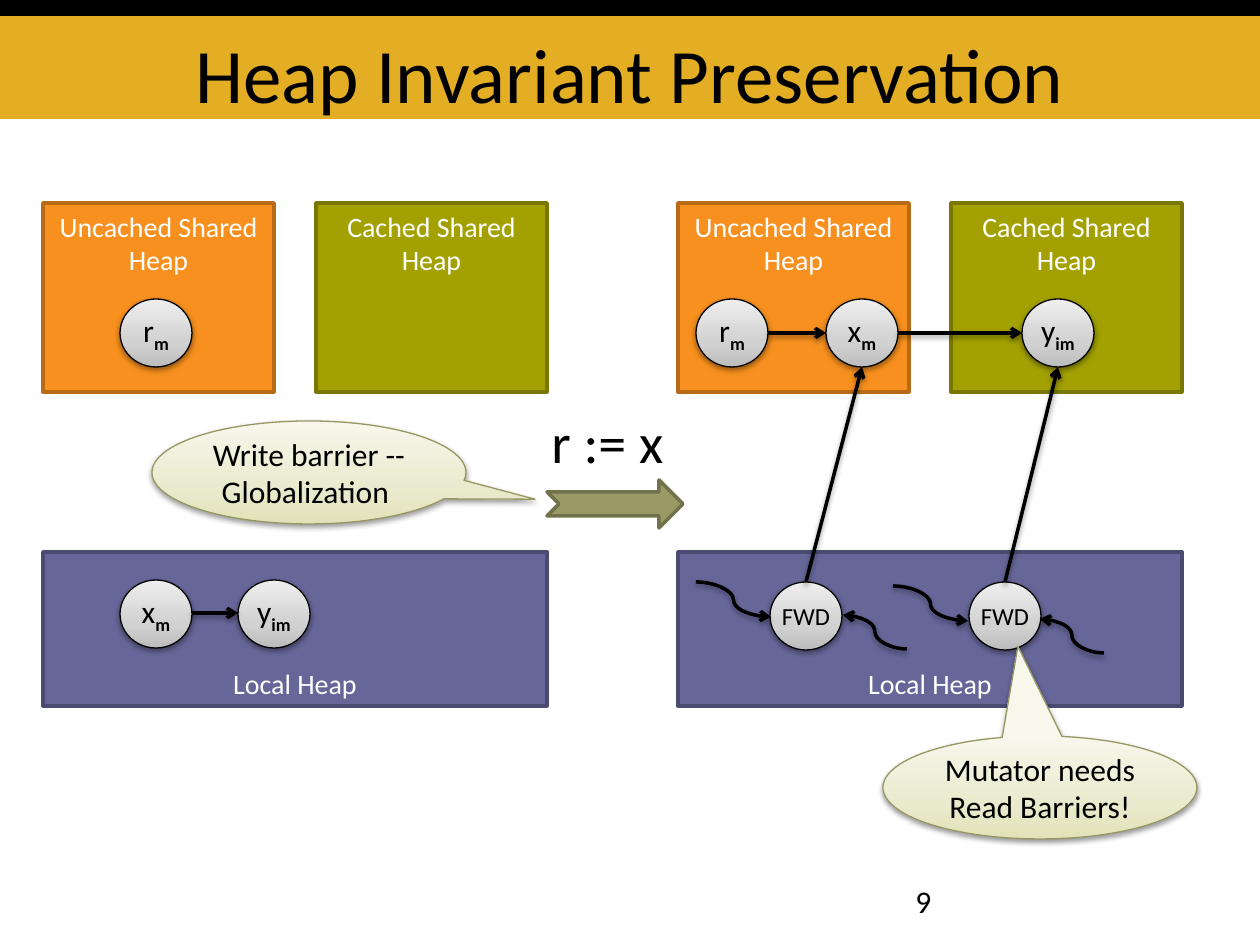
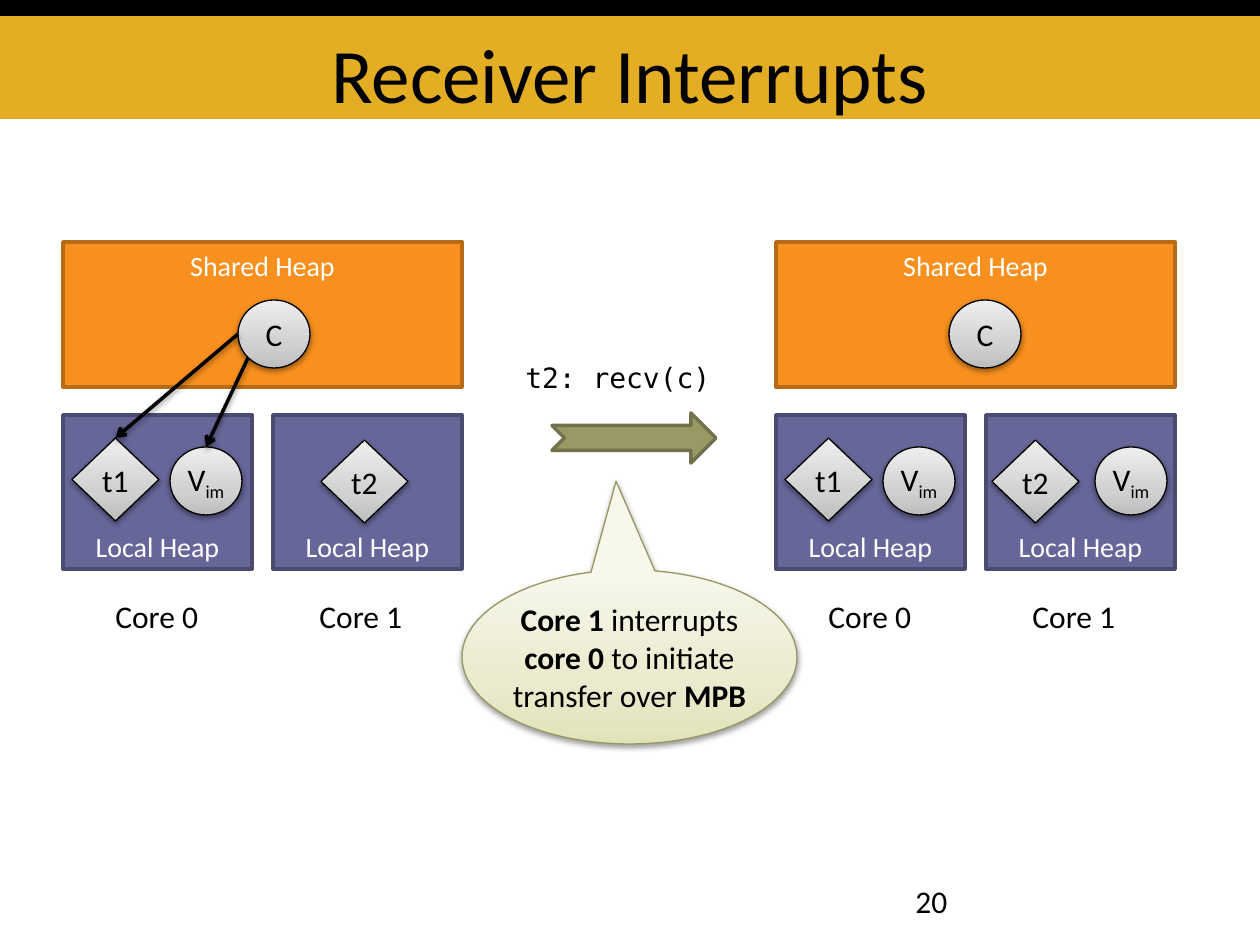
from pptx import Presentation
from pptx.dml.color import RGBColor
from pptx.enum.shapes import MSO_CONNECTOR, MSO_SHAPE
from pptx.enum.text import MSO_ANCHOR, PP_ALIGN
from pptx.oxml import parse_xml
from pptx.oxml.ns import nsdecls, qn
from pptx.util import Emu, Pt

PX = 914400 / 126  # 126 px to the inch
ORANGE = ("F7901E", "B76B16")
OLIVE = ("A3A101", "797701")
PURPLE = ("666699", "4B4B71")
MOSS = ("999966", "71714B")
GREY_STOPS = ("BDBDBD", "D1D1D1", "EEEEEE")
CREAM_STOPS = ("E2E2B9", "EAEACE", "F7F7EC")
NODE_W, NODE_H = 72, 68


def px(*values):
    return [Emu(round(v * PX)) for v in values]


def rgb(value):
    return RGBColor.from_string(value)


class Deck:
    font, mono = "Calibri", "DejaVu Sans Mono"
    ink, white, gold = "000000", "FFFFFF", "E3AE24"

    def __init__(self):
        self.prs = Presentation()
        self.prs.slide_width, self.prs.slide_height = px(1260, 945)
        self.s = None

    def slide(self, title, number):
        self.s = self.prs.slides.add_slide(self.prs.slide_layouts[6])
        self.shape(MSO_SHAPE.RECTANGLE, (0, 16, 1260, 103), self.gold)
        self.shape(MSO_SHAPE.RECTANGLE, (0, 0, 1260, 16), self.ink)
        sp = self.text((63, 16, 1134, 103), title, 44, align=PP_ALIGN.CENTER)
        sp.text_frame.vertical_anchor = MSO_ANCHOR.BOTTOM
        sp.text_frame.margin_bottom = 0
        self.text((903, 876, 294, 50), number, 18)

    def set_text(self, sp, content, size, color=None, align=PP_ALIGN.CENTER,
                 anchor=MSO_ANCHOR.TOP, inset=True, wrap=True, font=None):
        """Content is a string, or a list of (text, bold, subscript) runs."""
        tf = sp.text_frame
        tf.word_wrap = wrap
        tf.vertical_anchor = anchor
        if not inset:
            tf.margin_left = tf.margin_top = tf.margin_right = tf.margin_bottom = 0
        p = tf.paragraphs[0]
        p.alignment = align
        p.font.name, p.font.size = font or self.font, Pt(size)
        p.font.color.rgb = rgb(color or self.ink)
        runs = [(content, False, False)] if isinstance(content, str) else content
        for text, bold, sub in runs:
            r = p.add_run()
            r.text = text
            if bold:
                r.font.bold = True
            if sub:
                r._r.get_or_add_rPr().set("baseline", "-25000")

    def text(self, box, content, size, align=PP_ALIGN.LEFT, **style):
        sp = self.s.shapes.add_textbox(*px(*box))
        self.set_text(sp, content, size, align=align, **style)
        return sp

    def shape(self, kind, box, fill, line=None, width=2):
        sp = self.s.shapes.add_shape(kind, *px(*box))
        sp.shadow.inherit = False
        if isinstance(fill, str):
            sp.fill.solid()
            sp.fill.fore_color.rgb = rgb(fill)
        else:
            self.gradient(sp, fill)
        if line:
            sp.line.color.rgb = rgb(line)
            sp.line.width = Pt(width)
        else:
            sp.line.fill.background()
        return sp

    def gradient(self, sp, stops):
        gs = "".join(f'<a:gs pos="{pos}"><a:srgbClr val="{c}"/></a:gs>'
                     for pos, c in zip((0, 35000, 100000), stops))
        sp.fill.gradient()
        spPr = sp._element.spPr
        spPr.replace(spPr.find(qn("a:gradFill")), parse_xml(
            f'<a:gradFill {nsdecls("a")} rotWithShape="1"><a:gsLst>{gs}</a:gsLst>'
            '<a:lin ang="16200000" scaled="0"/></a:gradFill>'))

    def shadow(self, sp, alpha=38, dist=20000):
        spPr = sp._element.spPr
        for old in spPr.findall(qn("a:effectLst")):
            spPr.remove(old)
        spPr.append(parse_xml(
            f'<a:effectLst {nsdecls("a")}><a:outerShdw blurRad="40000" dist="{dist}" '
            'dir="5400000" rotWithShape="0"><a:srgbClr val="000000">'
            f'<a:alpha val="{alpha * 1000}"/></a:srgbClr></a:outerShdw></a:effectLst>'))

    def heap(self, box, label, colors, anchor=MSO_ANCHOR.TOP):
        sp = self.shape(MSO_SHAPE.RECTANGLE, box, *colors)
        self.set_text(sp, label, 16, self.white, anchor=anchor)

    def local_heap(self, x, y, w):
        self.heap((x, y, w, 154), "Local Heap", PURPLE, MSO_ANCHOR.BOTTOM)

    def node(self, x, y, name, sub="", bold=True, size=18,
             kind=MSO_SHAPE.OVAL, w=NODE_W, h=NODE_H):
        sp = self.shape(kind, (x, y, w, h), GREY_STOPS, self.ink, 0.75)
        self.shadow(sp)
        runs = [(name, False, False)] + ([(sub, bold, True)] if sub else [])
        self.set_text(sp, runs, size, anchor=MSO_ANCHOR.MIDDLE, inset=False)
        return sp

    def thread(self, x, y, name):
        return self.node(x, y, name, kind=MSO_SHAPE.DIAMOND, w=87, h=83)

    def callout(self, box, adj, content, inset=True):
        sp = self.shape(MSO_SHAPE.OVAL_CALLOUT, box, CREAM_STOPS, "979763", 0.75)
        sp.adjustments[0], sp.adjustments[1] = adj
        self.shadow(sp)
        self.set_text(sp, content, 18, anchor=MSO_ANCHOR.MIDDLE, inset=inset)

    def step(self, box):
        self.shape(MSO_SHAPE.NOTCHED_RIGHT_ARROW, box, *MOSS)

    def arrow(self, start, end, begin_top=None, end_top=None, curved=False):
        kind = MSO_CONNECTOR.CURVE if curved else MSO_CONNECTOR.STRAIGHT
        cn = self.s.shapes.add_connector(kind, *px(*start, *end))
        if begin_top is not None:
            cn.begin_connect(begin_top, 0)
        if end_top is not None:
            cn.end_connect(end_top, 0)
        cn.line.color.rgb = rgb(self.ink)
        cn.line.width = Pt(2)
        cn._element.spPr.find(qn("a:ln")).append(
            parse_xml(f'<a:tailEnd {nsdecls("a")} type="arrow"/>'))
        self.shadow(cn, *((35, 23000) if curved else (38, 20000)))


def heap_invariant(d):
    d.slide("Heap Invariant Preservation", "9")

    # Heaps before and after
    for x in (43, 678):
        d.heap((x, 203, 231, 189), "Uncached Shared Heap", ORANGE)
        d.heap((x + 273, 203, 231, 189), "Cached Shared Heap", OLIVE)
        d.local_heap(x, 552, 504)

    # Objects before the write
    d.node(120, 299, "r", "m")
    d.node(120, 580, "x", "m")
    d.node(238, 580, "y", "im")
    d.arrow((192, 613), (238, 613))

    # Objects after the write
    for x, name, sub in ((696, "r", "m"), (826, "x", "m"), (1022, "y", "im")):
        d.node(x, 299, name, sub)
    d.arrow((898, 333), (1022, 333))
    d.arrow((768, 333), (826, 333))

    # The write itself
    d.text((539, 401, 139, 81), "r := x", 32, wrap=False)
    d.step((547, 480, 136, 48))

    # Forwarding pointers, each with two incoming references
    for x, target, dx, dy in ((770, 862, 0, 0), (969, 1058, 197, 4)):
        fwd = d.node(x, 582, "FWD", size=14)
        d.arrow((696 + dx, 582 + dy), (771 + dx, 617 + dy), curved=True)
        d.arrow((907 + dx, 649 + dy), (843 + dx, 615 + dy), curved=True)
        d.arrow((x + 36, 582), (target, 367), begin_top=fwd)

    # Remarks
    d.callout((883, 736, 314, 103), (-0.07, -1.37), "Mutator needs Read Barriers!")
    d.callout((152, 421, 314, 103), (0.72, 0.26), "Write barrier -- Globalization ")


def receiver_interrupts(d):
    d.slide("Receiver Interrupts", "20")

    # Receive step
    d.text((513, 354, 228, 47), "t2: recv(c)", 16, font=d.mono)
    d.step((552, 413, 164, 50))

    # Both states: shared heap, two cores, sender thread and its value
    senders = []
    for x, c_x, t2_x in ((63, 238, 321), (776, 949, 992)):
        d.heap((x, 242, 399, 145), "Shared Heap", ORANGE)
        for core in range(2):
            d.local_heap(x + 210 * core, 415, 189)
            d.text((x + 40 + 204 * core, 591, 110, 50), f"Core {core}", 18, wrap=False)
        d.node(c_x, 300, "C")
        t1 = d.thread(x + 9, 438, "t1")
        value = d.node(x + 107, 447, "V", "im", bold=False)
        d.thread(t2_x, 440, "t2")
        senders.append((t1, value))
    d.node(1095, 447, "V", "im", bold=False)

    # Channel refers to the sender before the transfer
    t1, value = senders[0]
    d.arrow((238, 334), (115, 438), end_top=t1)
    d.arrow((248, 358), (206, 447), end_top=value)

    # Remark
    d.callout((462, 570, 335, 174), (-0.04, -1.01), [
        ("Core 1", True, False), (" interrupts ", False, False),
        ("core 0", True, False), (" to initiate transfer over ", False, False),
        ("MPB", True, False)], inset=False)


def main():
    d = Deck()
    heap_invariant(d)
    receiver_interrupts(d)
    d.prs.save("out.pptx")


if __name__ == "__main__":
    main()
